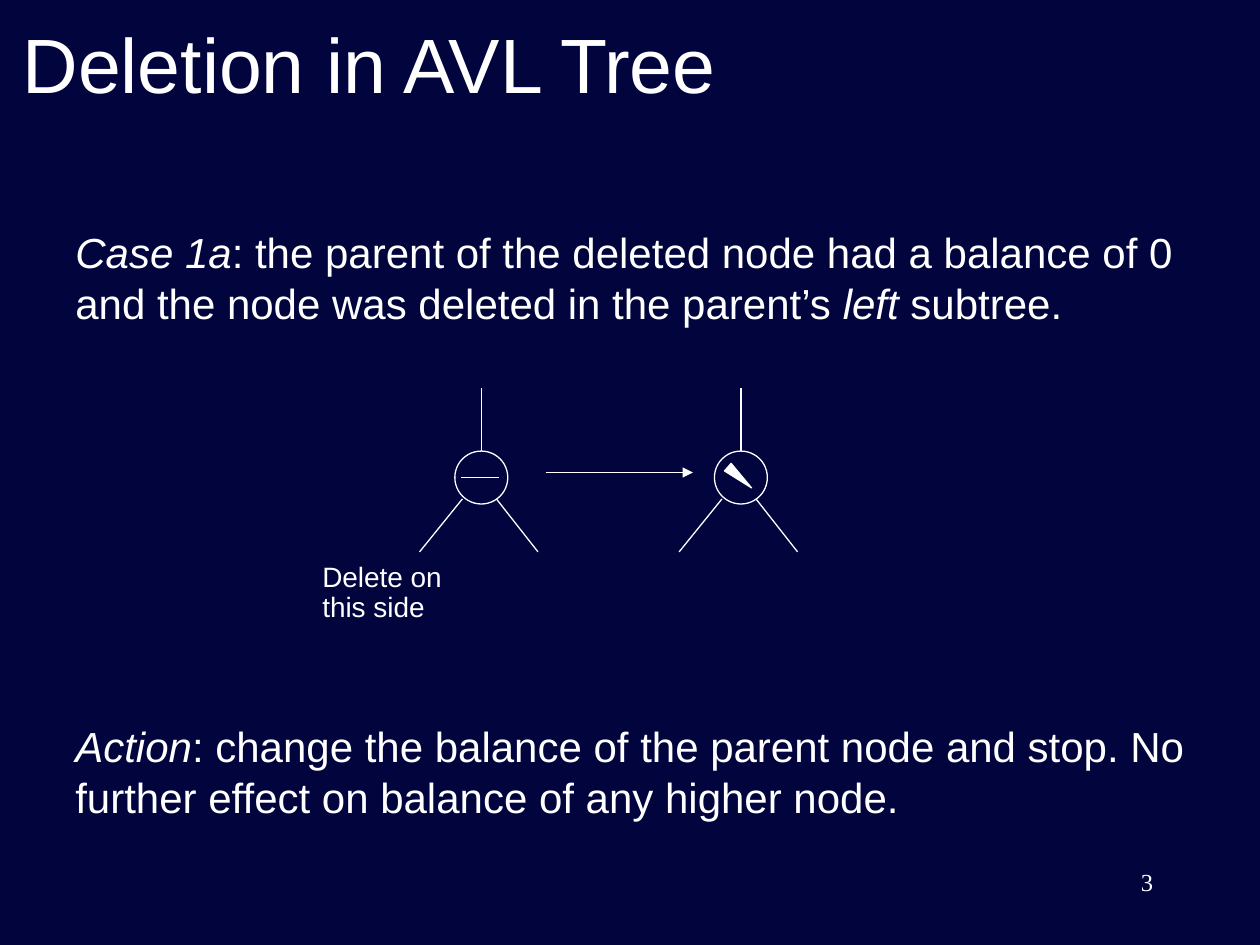
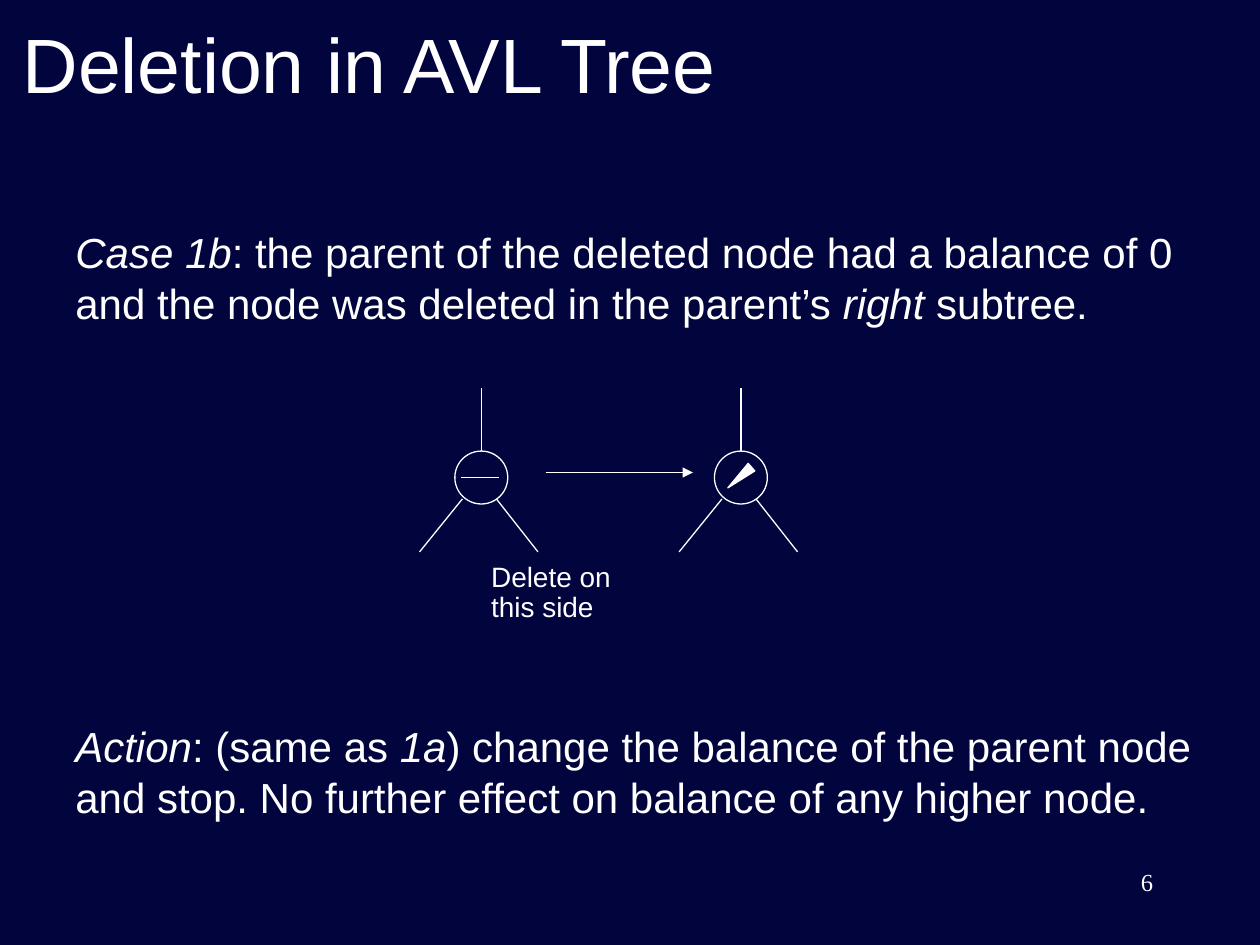
import dataclasses

import lxml.etree
import pptx
import pptx.dml.color
import pptx.enum.shapes
import pptx.enum.text
import pptx.oxml.ns
import pptx.util

Inches = pptx.util.Inches
Pt = pptx.util.Pt
RGB = pptx.dml.color.RGBColor
SHAPE = pptx.enum.shapes.MSO_SHAPE
ANCHOR = pptx.enum.text.MSO_ANCHOR
ALIGN = pptx.enum.text.PP_ALIGN


@dataclasses.dataclass(frozen=True)
class Theme:
    background: RGB = RGB.from_string("01043D")
    ink: RGB = RGB.from_string("FFFFFF")
    font: str = "Arial"
    number_font: str = "Times New Roman"
    title_size: int = 44
    body_size: int = 24
    label_size: int = 16
    number_size: int = 14
    line_width: float = 0.75


THEME = Theme()
NODE_SIZE = 0.42
NODE_Y = 3.79
BEFORE_X = 3.82
AFTER_X = 5.88
BRANCHES = ((-0.15, -0.49), (0.12, 0.45))
DELETED_ON_LEFT = "left"
DELETED_ON_RIGHT = "right"
LABEL_LEFT = {DELETED_ON_LEFT: 2.08, DELETED_ON_RIGHT: 3.42}
WEDGE_ROTATION = {DELETED_ON_LEFT: 131.2, DELETED_ON_RIGHT: 228.8}


def apply(target, values):
    for name, value in values.items():
        setattr(target, name, value)


def add_text(shapes, place, segments, size, font=THEME.font, frame=None, paragraph=None):
    box = shapes.add_textbox(*map(Inches, place))
    text_frame = box.text_frame
    apply(text_frame, {"word_wrap": True, **(frame or {})})
    line = text_frame.paragraphs[0]
    apply(line, paragraph or {})
    for text, italic in segments:
        run = line.add_run()
        run.text = text
        apply(run.font, {"name": font, "size": Pt(size), "italic": italic})
        run.font.color.rgb = THEME.ink
    return line


def add_body(slide, top, segments):
    add_text(slide.shapes, (0.5, top, 9.5, 0.92), segments, THEME.body_size,
             paragraph={"space_before": Pt(6)})


def add_line(shapes, start, end, arrow=False):
    line = shapes.add_connector(pptx.enum.shapes.MSO_CONNECTOR.STRAIGHT,
                                *map(Inches, (*start, *end)))
    line.line.width = Pt(THEME.line_width)
    line.line.color.rgb = THEME.ink
    properties = line.line._get_or_add_ln()
    if arrow:
        lxml.etree.SubElement(properties, pptx.oxml.ns.qn("a:tailEnd"), type="triangle")
    lxml.etree.SubElement(properties.getparent(), pptx.oxml.ns.qn("a:effectLst"))
    return line


def add_outlined(shapes, kind, center_x, center_y, width, height, filled=False):
    shape = shapes.add_shape(kind, Inches(center_x - width / 2), Inches(center_y - height / 2),
                             Inches(width), Inches(height))
    shape.shadow.inherit = False
    if filled:
        shape.fill.solid()
        shape.fill.fore_color.rgb = THEME.ink
    else:
        shape.fill.background()
    shape.line.color.rgb = THEME.ink
    shape.line.width = Pt(THEME.line_width)
    return shape


def add_tree_node(shapes, center_x):
    node = add_outlined(shapes, SHAPE.OVAL, center_x, NODE_Y, NODE_SIZE, NODE_SIZE)
    stem = add_line(shapes, (center_x, 3.58), (center_x, 3.08))
    stem.begin_connect(node, 0)
    for near, far in BRANCHES:
        add_line(shapes, (center_x + near, 3.96), (center_x + far, 4.38))


def add_rebalance_diagram(slide, side):
    shapes = slide.shapes.add_group_shape().shapes
    add_tree_node(shapes, BEFORE_X)
    add_line(shapes, (3.66, NODE_Y), (3.96, NODE_Y))
    label = add_text(shapes, (LABEL_LEFT[side], 4.42, 1.77, 0.58),
                     [("Delete on this side", False)], THEME.label_size,
                     paragraph={"line_spacing": 0.9, "space_before": Pt(4)})
    label._p.get_or_add_pPr().set("marL", str(Inches(0.38)))
    add_tree_node(shapes, AFTER_X)
    wedge = add_outlined(shapes, SHAPE.ISOSCELES_TRIANGLE, 5.87, NODE_Y, 0.08, 0.25, filled=True)
    wedge.rotation = WEDGE_ROTATION[side]
    add_line(shapes, (4.33, 3.75), (5.5, 3.75), arrow=True)


def add_case_slide(deck, case, side, action, number):
    slide = deck.slides.add_slide(deck.slide_layouts[6])
    slide.background.fill.solid()
    slide.background.fill.fore_color.rgb = THEME.background
    add_text(slide.shapes, (0.08, 0, 9, 1), [("Deletion in AVL Tree", False)],
             THEME.title_size, frame={"vertical_anchor": ANCHOR.MIDDLE})
    add_body(slide, 1.75, [
        (case, True),
        (": the parent of the deleted node had a balance of 0 and the node was "
         "deleted in the parent’s ", False),
        (side, True),
        (" subtree.", False),
    ])
    add_body(slide, 5.67, [("Action", True), *action])
    add_rebalance_diagram(slide, side)
    add_text(slide.shapes, (7.17, 6.83, 2.08, 0.5), [(number, False)], THEME.number_size,
             font=THEME.number_font, paragraph={"alignment": ALIGN.RIGHT})


def main():
    deck = pptx.Presentation()
    apply(deck, {"slide_width": Inches(10), "slide_height": Inches(7.5)})
    change = ("change the balance of the parent node and stop. "
              "No further effect on balance of any higher node.")
    add_case_slide(deck, "Case 1a", DELETED_ON_LEFT, [(f": {change}", False)], "3")
    add_case_slide(deck, "Case 1b", DELETED_ON_RIGHT,
                   [(": (same as ", False), ("1a", True), (f") {change}", False)], "6")
    deck.save("out.pptx")


if __name__ == "__main__":
    main()
